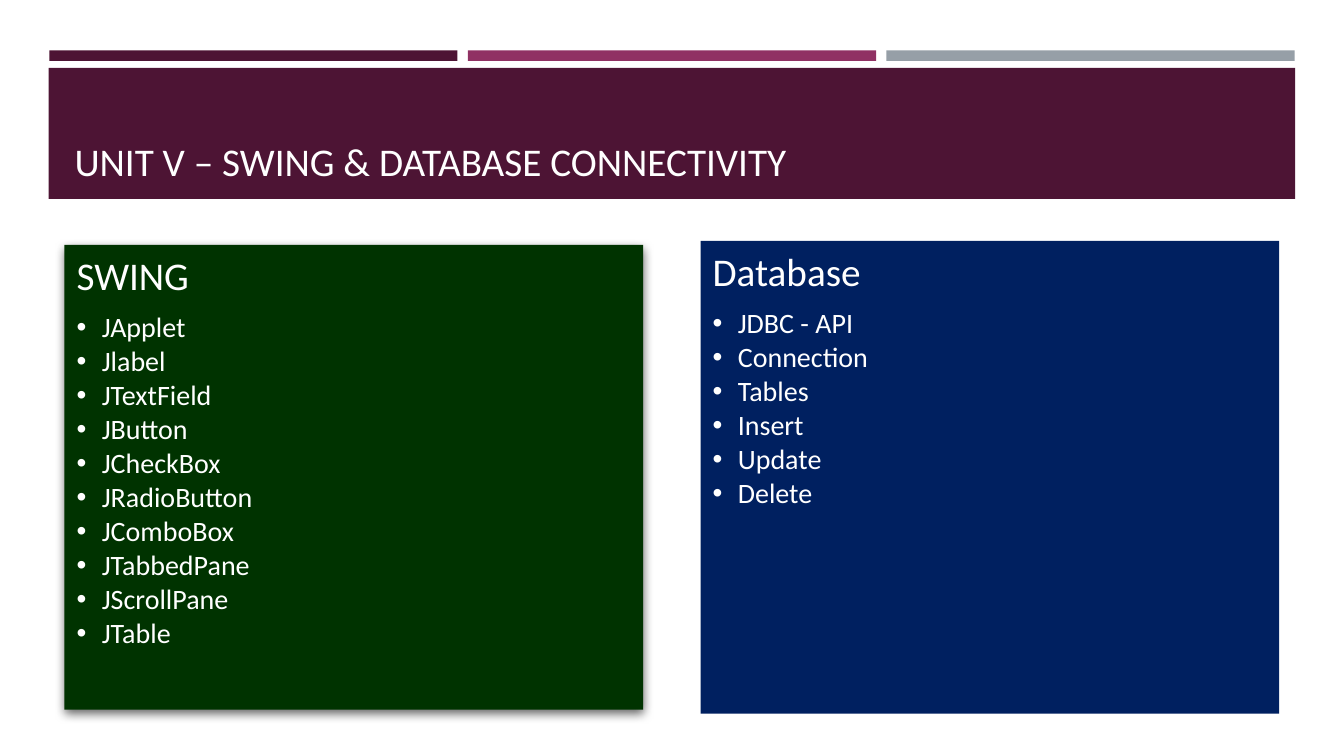
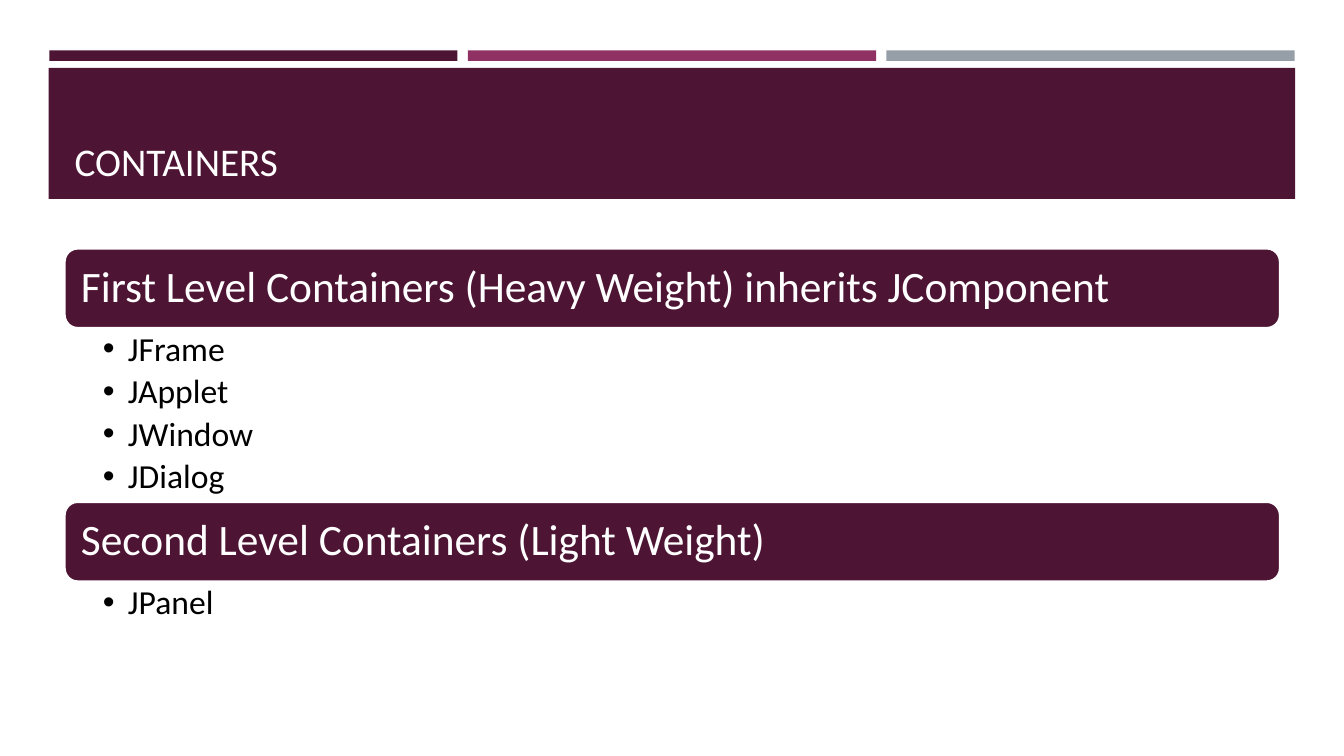
from dataclasses import dataclass
from typing import Optional

from lxml.etree import SubElement
from pptx import Presentation
from pptx.dml.color import RGBColor
from pptx.enum.shapes import MSO_SHAPE as Preset
from pptx.enum.text import MSO_ANCHOR as Anchor, MSO_AUTO_SIZE as AutoSize, PP_ALIGN as Align
from pptx.oxml.ns import qn
from pptx.util import Pt

COLORS = {
    "plum": "4D1434", "magenta": "903163", "gray": "969FA7",
    "green": "003300", "navy": "002060", "white": "FFFFFF", "black": "000000",
}
FONT = "Calibri"
LEFT, WIDTH = 46.08, 868.32
BULLET_INDENT = 18


@dataclass(frozen=True)
class Box:
    left: float
    top: float
    width: float
    height: float

    def lengths(self) -> tuple:
        return Pt(self.left), Pt(self.top), Pt(self.width), Pt(self.height)


@dataclass(frozen=True)
class TextStyle:
    size: float
    color: str
    space_after: float = 0
    bullet: bool = False


@dataclass(frozen=True)
class Panel:
    box: Box
    color: str
    heading: str
    items: tuple
    shadow: bool = False


@dataclass(frozen=True)
class Level:
    top: float
    heading: str
    items: tuple
    list_height: float


PANEL_HEADING = TextStyle(28, "white", 10)
PANEL_ITEM = TextStyle(20, "white", 2.7, bullet=True)
LEVEL_HEADING = TextStyle(31, "white")
LEVEL_ITEM = TextStyle(24, "black", 4.4, bullet=True)
BAR_HEIGHT = 57

PANELS = (
    Panel(Box(LEFT, 174.96, 413.28, 331.92), "green", "SWING",
          ("JApplet", "Jlabel", "JTextField", "JButton", "JCheckBox", "JRadioButton",
           "JComboBox", "JTabbedPane", "JScrollPane", "JTable"), shadow=True),
    Panel(Box(500.4, 172.08, 413.28, 337.68), "navy", "Database",
          ("JDBC - API", "Connection", "Tables", "Insert", "Update", "Delete")),
)
LEVELS = (
    Level(177.4, "First Level Containers (Heavy Weight) inherits JComponent",
          ("JFrame", "JApplet", "JWindow", "JDialog"), 123.84),
    Level(358.4, "Second Level Containers (Light Weight)", ("JPanel",), 40.32),
)


def rgb(name: str) -> RGBColor:
    return RGBColor.from_string(COLORS[name])


def add_block(slide, box: Box, color: str, preset=Preset.RECTANGLE, line: Optional[str] = None):
    shape = slide.shapes.add_shape(preset, *box.lengths())
    shape.shadow.inherit = False
    shape.fill.solid()
    shape.fill.fore_color.rgb = rgb(color)
    if line:
        shape.line.color.rgb = rgb(line)
        shape.line.width = Pt(1.75)
    else:
        shape.line.fill.background()
    return shape


def add_shadow(shape) -> None:
    effects = shape.element.spPr.find(qn("a:effectLst"))
    outer = SubElement(effects, qn("a:outerShdw"), blurRad=str(Pt(7)), dist=str(Pt(3)),
                       dir=str(84 * 60000), rotWithShape="0")
    color = SubElement(outer, qn("a:srgbClr"), val=COLORS["black"])
    SubElement(color, qn("a:alpha"), val="60000")


def set_frame(frame, anchor, left: float, top: float, right: float, bottom: float) -> None:
    frame.word_wrap = True
    frame.auto_size = AutoSize.NONE
    frame.vertical_anchor = anchor
    frame.margin_left, frame.margin_right = Pt(left), Pt(right)
    frame.margin_top, frame.margin_bottom = Pt(top), Pt(bottom)


def add_span(para, text: str, style: TextStyle) -> None:
    span = para.add_run()
    span.text = text
    span.font.name = FONT
    span.font.size = Pt(style.size)
    span.font.color.rgb = rgb(style.color)


def write_lines(frame, lines: list) -> None:
    for index, (text, style) in enumerate(lines):
        para = frame.add_paragraph() if index else frame.paragraphs[0]
        para.alignment = Align.LEFT
        para.line_spacing = 0.9
        para.space_after = Pt(style.space_after)
        if style.bullet:
            props = para._p.get_or_add_pPr()
            props.set("marL", str(Pt(BULLET_INDENT)))
            props.set("indent", str(-Pt(BULLET_INDENT)))
            SubElement(props, qn("a:buFont"), typeface="Arial")
            SubElement(props, qn("a:buChar"), char="•")
        add_span(para, text, style)


def add_titled_slide(deck, title: str):
    slide = deck.slides.add_slide(deck.slide_layouts[5])
    holder = slide.shapes.title
    holder.left, holder.top, holder.width, holder.height = Box(LEFT, 55.44, WIDTH, 79.92).lengths()
    set_frame(holder.text_frame, Anchor.BOTTOM, 7.2, 3.6, 7.2, 3.6)
    para = holder.text_frame.paragraphs[0]
    para.alignment = Align.LEFT
    add_span(para, title, TextStyle(28, "white"))
    return slide


def move_bands_to_layout(slide) -> None:
    bands = [add_block(slide, Box(35.2 + 299 * column, 36, 291.6, 7.5), color)
             for column, color in enumerate(("plum", "magenta", "gray"))]
    bands.append(add_block(slide, Box(34.8, 48.5, 890.4, 93.6), "plum"))
    tree = slide.slide_layout.shapes.element
    for position, band in enumerate(bands, start=2):
        tree.insert(position, band.element)


def draw_panel(slide, panel: Panel) -> None:
    shape = add_block(slide, panel.box, panel.color)
    if panel.shadow:
        add_shadow(shape)
    set_frame(shape.text_frame, Anchor.TOP, 8.64, 8.64, 8.64, 8.64)
    write_lines(shape.text_frame, [(panel.heading, PANEL_HEADING)]
                + [(item, PANEL_ITEM) for item in panel.items])


def draw_level(slide, level: Level) -> None:
    bar = add_block(slide, Box(LEFT, level.top, WIDTH, BAR_HEIGHT), "plum",
                    Preset.ROUNDED_RECTANGLE, "white")
    set_frame(bar.text_frame, Anchor.MIDDLE, 9, 9, 9, 9)
    write_lines(bar.text_frame, [(level.heading, LEVEL_HEADING)])
    list_box = Box(LEFT, level.top + BAR_HEIGHT, WIDTH, level.list_height)
    text_box = slide.shapes.add_textbox(*list_box.lengths())
    set_frame(text_box.text_frame, Anchor.TOP, 27.36, 2.88, 17.28, 2.88)
    write_lines(text_box.text_frame, [(item, LEVEL_ITEM) for item in level.items])


deck = Presentation()
deck.slide_width, deck.slide_height = Pt(960), Pt(540)

# Unit overview, with the bands that both slides share
overview = add_titled_slide(deck, "UNIT V – SWING & DATABASE CONNECTIVITY")
move_bands_to_layout(overview)
for topic_panel in PANELS:
    draw_panel(overview, topic_panel)

# Container levels
containers = add_titled_slide(deck, "CONTAINERS")
for container_level in LEVELS:
    draw_level(containers, container_level)

deck.save("out.pptx")
